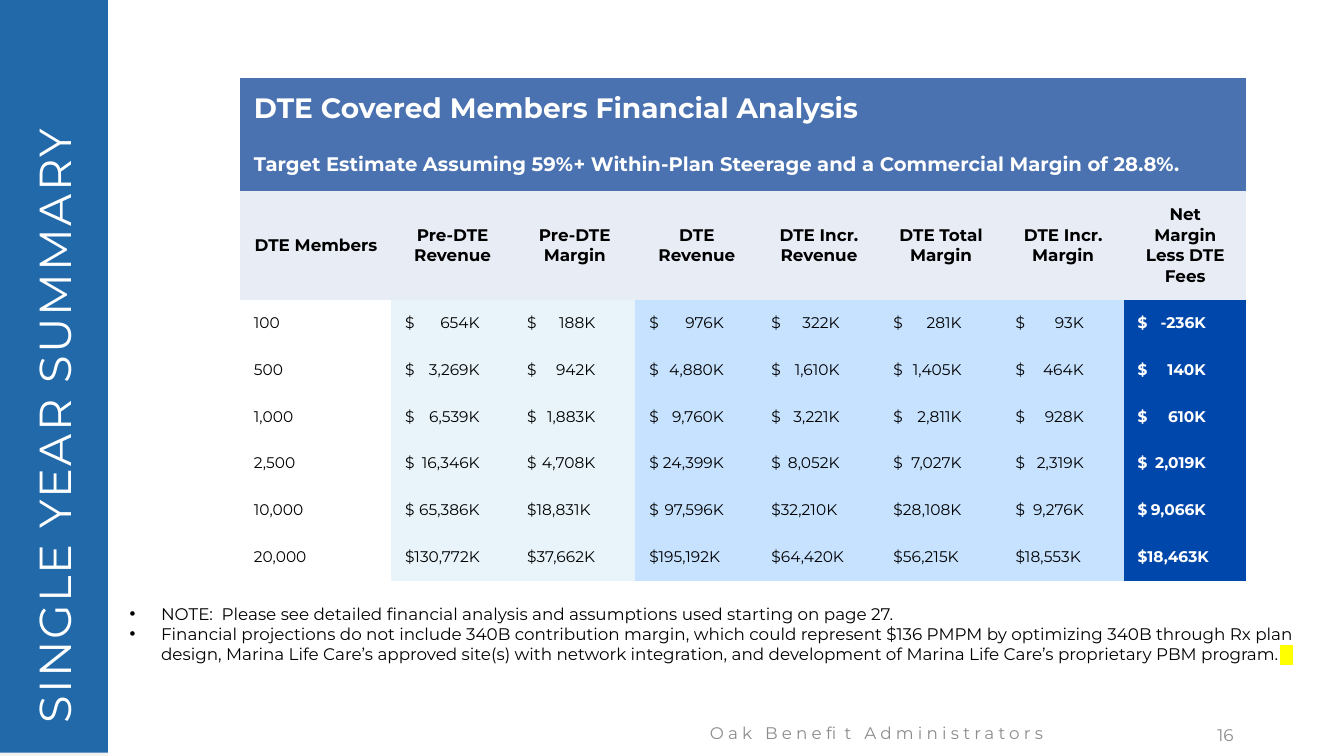
from lxml import etree
from pptx import Presentation
from pptx.dml.color import RGBColor
from pptx.enum.shapes import MSO_SHAPE
from pptx.enum.text import MSO_ANCHOR, MSO_AUTO_SIZE, PP_ALIGN
from pptx.oxml.ns import qn
from pptx.util import Cm, Pt

RECTANGLE = MSO_SHAPE.RECTANGLE
MIDDLE, TOP = MSO_ANCHOR.MIDDLE, MSO_ANCHOR.TOP
LEFT, CENTER, RIGHT = PP_ALIGN.LEFT, PP_ALIGN.CENTER, PP_ALIGN.RIGHT
NO_AUTOFIT = MSO_AUTO_SIZE.NONE

FONT = "Montserrat"
NO_GRID_STYLE = "{2D5ABB26-0587-4C30-8999-92F81FD0307C}"
WHITE = RGBColor(0xFF, 0xFF, 0xFF)
BLACK = RGBColor(0x00, 0x00, 0x00)
YELLOW = RGBColor(0xFF, 0xFF, 0x00)
GRAY = RGBColor(0x8C, 0x8C, 0x8C)
LIGHT_GRAY = RGBColor(0xF2, 0xF2, 0xF2)
SIDEBAR_BLUE = RGBColor(0x00, 0x53, 0x9F)
BANNER_BLUE = RGBColor(0x4A, 0x72, 0xB0)
HEADER_BLUE = RGBColor(0xE7, 0xEC, 0xF5)
PRE_BLUE = RGBColor(0xE8, 0xF4, 0xF9)
DTE_BLUE = RGBColor(0xC6, 0xE2, 0xFF)
NET_BLUE = RGBColor(0x00, 0x47, 0xAB)

BANNERS = [
    ("DTE Covered Members Financial Analysis", 20),
    ("Target Estimate Assuming 59%+ Within-Plan Steerage and a Commercial Margin of 28.8%.", 14),
]
# Heading, fill and right tab stop (cm) of each column
COLUMNS = [
    ("DTE Members", None, None),
    ("Pre-DTE Revenue", PRE_BLUE, 1.88),
    ("Pre-DTE Margin", PRE_BLUE, 1.72),
    ("DTE Revenue", DTE_BLUE, 1.88),
    ("DTE Incr. Revenue", DTE_BLUE, 1.72),
    ("DTE Total Margin", DTE_BLUE, 1.72),
    ("DTE Incr. Margin", DTE_BLUE, 1.72),
    ("Net Margin Less DTE Fees", NET_BLUE, 1.72),
]
MEMBER_ROWS = [
    (100, 654, 188, 976, 322, 281, 93, -236),
    (500, 3269, 942, 4880, 1610, 1405, 464, 140),
    (1000, 6539, 1883, 9760, 3221, 2811, 928, 610),
    (2500, 16346, 4708, 24399, 8052, 7027, 2319, 2019),
    (10000, 65386, 18831, 97596, 32210, 28108, 9276, 9066),
    (20000, 130772, 37662, 195192, 64420, 56215, 18553, 18463),
]
NOTES = [
    "NOTE:  Please see detailed financial analysis and assumptions used starting on page 27.",
    "Financial projections do not include 340B contribution margin, which could represent "
    "$136 PMPM by optimizing 340B through Rx plan design, Marina Life Care’s approved site(s) "
    "with network integration, and development of Marina Life Care’s proprietary PBM program.",
]


def write(paragraph, text, size=12, color=BLACK, bold=False, align=LEFT, spacing=0, highlight=None):
    paragraph.alignment = align
    run = paragraph.add_run()
    run.text = text
    run.font.name, run.font.size, run.font.bold = FONT, Pt(size), bold
    run.font.color.rgb = color
    properties = run.font._element
    if spacing:
        properties.set("spc", str(int(spacing * 100)))
    if highlight is not None:
        mark = etree.Element(qn("a:highlight"))
        etree.SubElement(mark, qn("a:srgbClr")).set("val", str(highlight))
        properties.find(qn("a:solidFill")).addnext(mark)


def add_text_box(slide, left, top, width, height, anchor):
    frame = slide.shapes.add_textbox(Cm(left), Cm(top), Cm(width), Cm(height)).text_frame
    frame.word_wrap = True
    frame.vertical_anchor = anchor
    return frame


def add_sidebar(slide, left, top, width, height):
    # Blue panel over a light gray one
    for panel_top, color, alpha in ((top, LIGHT_GRAY, 100), (top - 0.08, SIDEBAR_BLUE, 86)):
        panel = slide.shapes.add_shape(RECTANGLE, Cm(left), Cm(panel_top), Cm(width), Cm(height))
        panel.shadow.inherit = False
        panel.line.fill.background()
        panel.fill.solid()
        panel.fill.fore_color.rgb = color
        if alpha < 100:
            color_element = panel._element.spPr.find(qn("a:solidFill"))[0]
            etree.SubElement(color_element, qn("a:alpha")).set("val", str(alpha * 1000))

    # Vertical title, brought in front of the panels
    title = slide.shapes.title
    slide.shapes._spTree.append(title._element)
    title_width, title_height = 18.42, 2.08
    title.left = Cm(left + (width - title_width) / 2)
    title.top = Cm(top + 9.27 - title_height / 2)
    title.width, title.height = Cm(title_width), Cm(title_height)
    title.rotation = 270
    frame = title.text_frame
    frame.auto_size = NO_AUTOFIT
    frame.vertical_anchor = MIDDLE
    write(frame.paragraphs[0], "SINGLE YEAR SUMMARY", size=32, color=WHITE, spacing=1.5)


def fill_cell(cell, text, fill=None, tab=None, **text_format):
    cell.vertical_anchor = MIDDLE
    cell.margin_left = Cm(0.35)
    cell.margin_right = cell.margin_top = cell.margin_bottom = Cm(0.33)
    if fill is None:
        cell.fill.background()
    else:
        cell.fill.solid()
        cell.fill.fore_color.rgb = fill
    paragraph = cell.text_frame.paragraphs[0]
    if tab:
        tab_list = etree.SubElement(paragraph._p.get_or_add_pPr(), qn("a:tabLst"))
        etree.SubElement(tab_list, qn("a:tab"), pos=str(Cm(tab)), algn="r")
    write(paragraph, text, **text_format)


def add_member_table(slide, left, top, width, height):
    row_heights = [1.5, 1.35, 2.73] + [1.18] * len(MEMBER_ROWS)
    first_width = 3.81
    other_width = (width - first_width) / (len(COLUMNS) - 1)
    table = slide.shapes.add_table(len(row_heights), len(COLUMNS), Cm(left), Cm(top),
                                   Cm(width), Cm(height)).table
    table.first_row = table.horz_banding = False
    table._tbl.tblPr.find(qn("a:tableStyleId")).text = NO_GRID_STYLE
    for row, row_height in zip(table.rows, row_heights):
        row.height = Cm(row_height)
    for index, column in enumerate(table.columns):
        column.width = Cm(other_width if index else first_width)

    # Banner rows
    for row, (text, size) in enumerate(BANNERS):
        table.cell(row, 0).merge(table.cell(row, len(COLUMNS) - 1))
        fill_cell(table.cell(row, 0), text, BANNER_BLUE, size=size, color=WHITE, bold=True)

    # Headings and amounts, column by column
    for column, (heading, fill, tab) in enumerate(COLUMNS):
        fill_cell(table.cell(2, column), heading, HEADER_BLUE, bold=True, align=CENTER)
        numbers = [f"{values[column]:,}" for values in MEMBER_ROWS]
        longest = max(map(len, numbers))
        is_net = fill == NET_BLUE
        for row, number in enumerate(numbers, start=3):
            padded = tab and len(number) < longest
            currency = "$\t" if padded else "$"
            text = f"{currency}{number}K" if tab else number
            fill_cell(table.cell(row, column), text, fill, tab if padded else None,
                      size=11, color=WHITE if is_net else BLACK, bold=is_net)


def add_notes(slide, left, top, width, height):
    frame = add_text_box(slide, left, top, width, height, TOP)
    for index, note in enumerate(NOTES):
        paragraph = frame.add_paragraph() if index else frame.paragraphs[0]
        properties = paragraph._p.get_or_add_pPr()
        properties.set("marL", str(Cm(0.79)))
        properties.set("indent", str(-Cm(0.79)))
        etree.SubElement(properties, qn("a:buFont")).set("typeface", "Arial")
        etree.SubElement(properties, qn("a:buChar")).set("char", "•")
        write(paragraph, note)
    # Highlighted end of the last note
    write(paragraph, "   ", highlight=YELLOW)


def add_footer(slide, left, top, width, height):
    company = add_text_box(slide, left, top, 11.43, height, MIDDLE)
    write(company.paragraphs[0], "Oak Benefit Administrators", color=GRAY, align=CENTER, spacing=3)
    number_width = 7.62
    number = add_text_box(slide, left + width - number_width, top + 0.05, number_width, height, MIDDLE)
    write(number.paragraphs[0], "16", color=GRAY, align=RIGHT)


def main():
    presentation = Presentation()
    presentation.slide_width, presentation.slide_height = Cm(33.87), Cm(19.05)
    slide = presentation.slides.add_slide(presentation.slide_layouts[5])
    add_sidebar(slide, 0, 0, 2.72, 19.05)
    add_footer(slide, 16.38, 17.96, 14.96, 1.02)
    add_notes(slide, 3.02, 15.09, 30.23, 1.8)
    add_member_table(slide, 6.05, 1.96, 25.35, 12.66)
    presentation.save("out.pptx")


if __name__ == "__main__":
    main()
